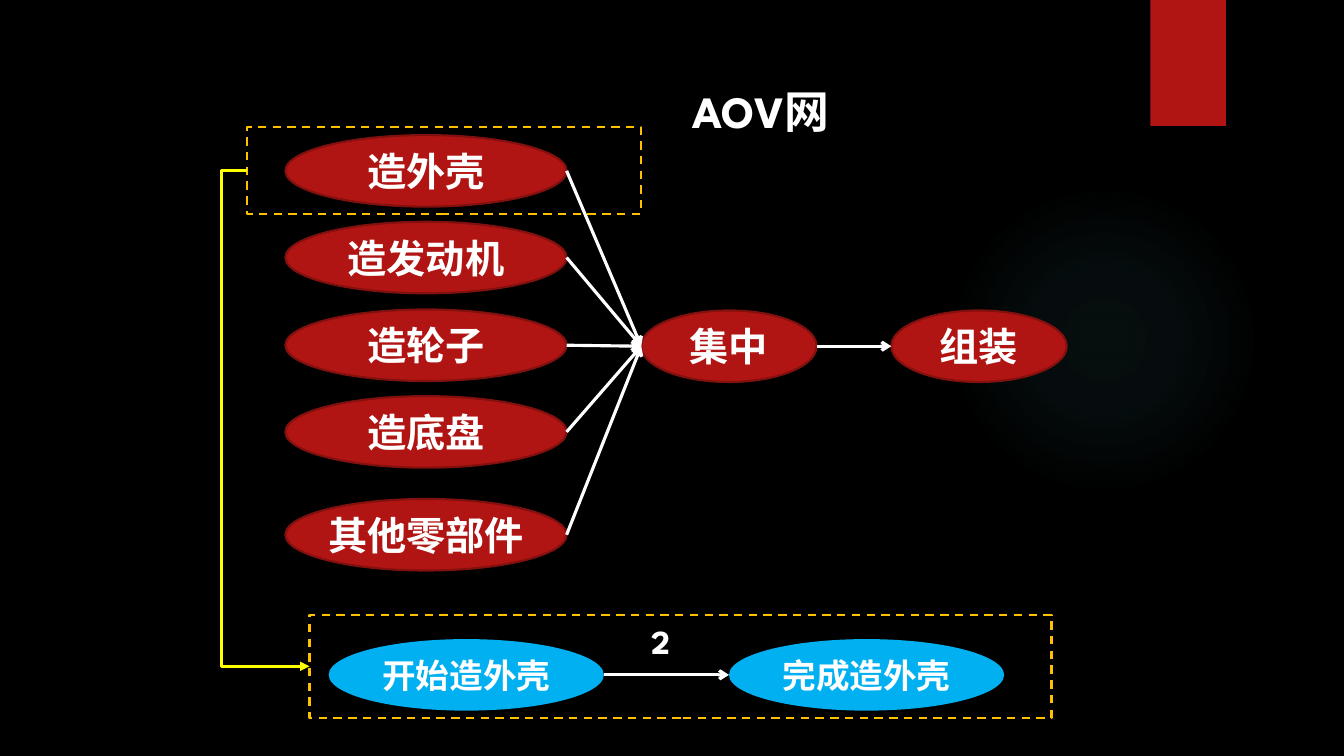
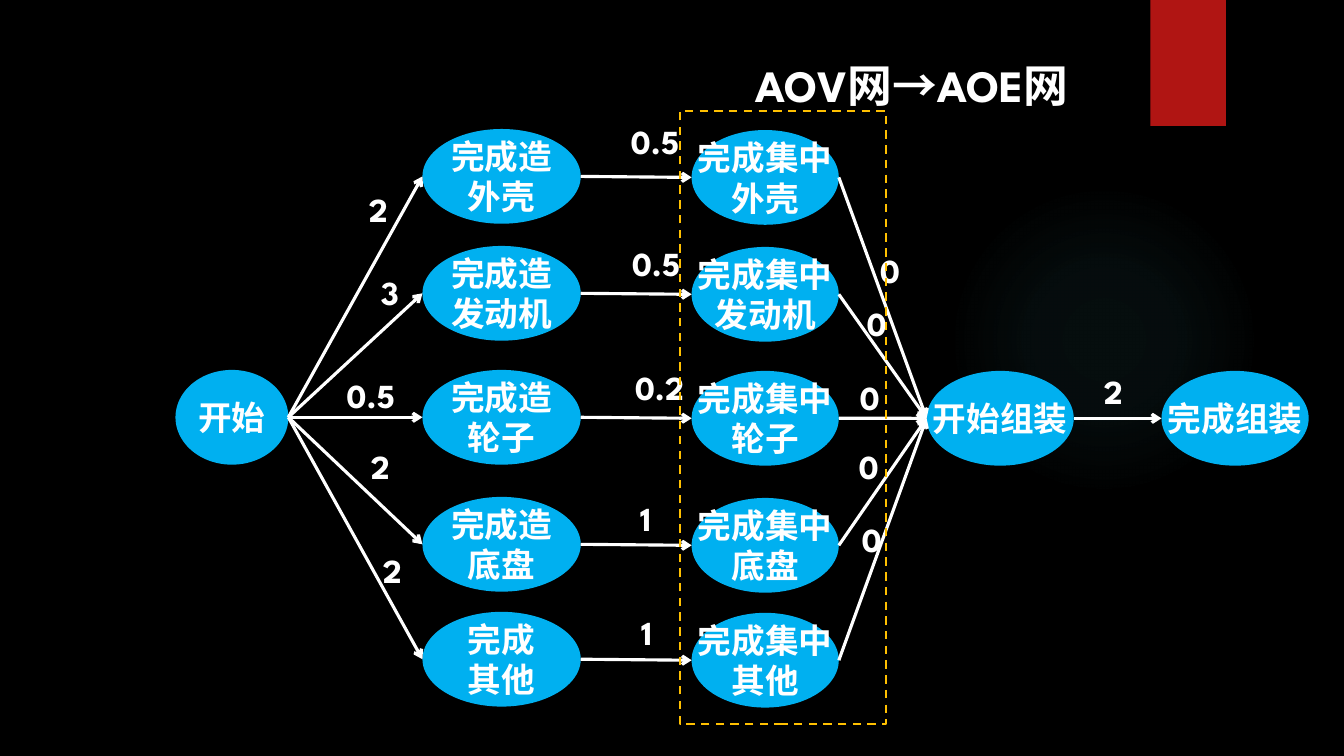
from lxml import etree
from pptx import Presentation
from pptx.dml.color import RGBColor
from pptx.enum.dml import MSO_LINE
from pptx.enum.lang import MSO_LANGUAGE_ID
from pptx.enum.shapes import MSO_CONNECTOR, MSO_SHAPE
from pptx.enum.text import MSO_ANCHOR, MSO_AUTO_SIZE, PP_ALIGN
from pptx.oxml import parse_xml
from pptx.oxml.ns import nsdecls, qn
from pptx.util import Inches, Pt

FONT = "League Spartan"
BLACK = RGBColor(0x00, 0x00, 0x00)
WHITE = RGBColor(0xFF, 0xFF, 0xFF)
RED = RGBColor(0xB0, 0x15, 0x13)
DARK_RED = RGBColor(0x82, 0x10, 0x0E)
BLUE = RGBColor(0x00, 0xB0, 0xF0)
GOLD = RGBColor(0xFF, 0xC0, 0x00)
YELLOW = RGBColor(0xFF, 0xFF, 0x00)
GLOW_COLOR = RGBColor(0x50, 0xB9, 0xC1)
GLOW_STOPS = ((0, 7), (36, 6), (69, 0))  # position and opacity, in percent


def add_run(paragraph, text, size):
    run = paragraph.add_run()
    run.text = text
    font = run.font
    font.name = FONT
    font.size = Pt(size)
    font.bold = True
    font.color.rgb = WHITE
    font.language_id = MSO_LANGUAGE_ID.SIMPLIFIED_CHINESE
    east_asian = etree.SubElement(run._r.get_or_add_rPr(), qn("a:ea"))
    east_asian.set("typeface", FONT)


def add_plain_shape(slide, kind, left, top, width, height, fill=None):
    """Add a shape without shadow or outline; no fill colour means see-through."""
    shape = slide.shapes.add_shape(
        kind, Inches(left), Inches(top), Inches(width), Inches(height))
    shape.shadow.inherit = False
    shape.line.fill.background()
    if fill is None:
        shape.fill.background()
    else:
        shape.fill.solid()
        shape.fill.fore_color.rgb = fill
    return shape


def add_glow(slide):
    glow = add_plain_shape(slide, MSO_SHAPE.OVAL, 9.41, 1.83, 3.08, 3.08)
    stops = "".join(
        f'<a:gs pos="{position * 1000}"><a:srgbClr val="{GLOW_COLOR}">'
        f'<a:alpha val="{opacity * 1000}"/></a:srgbClr></a:gs>'
        for position, opacity in GLOW_STOPS)
    gradient = parse_xml(
        f'<a:gradFill {nsdecls("a")}><a:gsLst>{stops}</a:gsLst>'
        '<a:path path="circle"><a:fillToRect l="50000" t="50000" r="50000" '
        'b="50000"/></a:path></a:gradFill>')
    properties = glow._element.spPr
    properties.replace(properties.find(qn("a:noFill")), gradient)


def add_text(slide, text, left, top, width, height, size):
    box = slide.shapes.add_textbox(
        Inches(left), Inches(top), Inches(width), Inches(height))
    frame = box.text_frame
    frame.word_wrap = True
    frame.auto_size = MSO_AUTO_SIZE.SHAPE_TO_FIT_TEXT
    add_run(frame.paragraphs[0], text, size)


def add_title(slide, text, left, top, width):
    add_text(slide, text, left, top, width, 0.64, 32)


def add_duration(slide, text, left, top):
    add_text(slide, text, left, top, 1.39, 0.5, 24)


def add_node(slide, lines, left, top, width, height, fill, size):
    node = add_plain_shape(slide, MSO_SHAPE.OVAL, left, top, width, height, fill)
    frame = node.text_frame
    frame.word_wrap = False
    frame.vertical_anchor = MSO_ANCHOR.MIDDLE
    frame.margin_left = frame.margin_right = 0
    frame.margin_top = frame.margin_bottom = 0
    for index, line in enumerate(lines):
        paragraph = frame.add_paragraph() if index else frame.paragraphs[0]
        paragraph.alignment = PP_ALIGN.CENTER
        add_run(paragraph, line, size)
    return node


def add_activity(slide, text, left, top, width):
    node = add_node(slide, [text], left, top, width, 0.71, RED, 28)
    node.line.color.rgb = DARK_RED
    node.line.width = Pt(1.5)
    return node


def add_event(slide, lines, left, top, width, height=0.94):
    return add_node(slide, lines, left, top, width, height, BLUE, 24)


def add_dashed_frame(slide, left, top, width, height):
    frame = add_plain_shape(slide, MSO_SHAPE.RECTANGLE, left, top, width, height)
    frame.line.color.rgb = GOLD
    frame.line.width = Pt(1.5)
    frame.line.dash_style = MSO_LINE.DASH
    return frame


def add_link(slide, kind, start, end, color, head):
    connector = slide.shapes.add_connector(kind, *start, *end)
    connector.line.color.rgb = color
    connector.line.width = Pt(2.25)
    etree.SubElement(connector.line._get_or_add_ln(), qn("a:tailEnd"), type=head)
    etree.SubElement(connector._element.spPr, qn("a:effectLst"))
    return connector


def left_middle(shape):
    return shape.left, shape.top + shape.height // 2


def right_middle(shape):
    return shape.left + shape.width, shape.top + shape.height // 2


def add_arrow(slide, source, target):
    add_link(slide, MSO_CONNECTOR.STRAIGHT, right_middle(source),
             left_middle(target), WHITE, "arrow")


def add_detail_link(slide, source, target):
    """Link the left sides of two frames, running outside them."""
    link = add_link(slide, MSO_CONNECTOR.ELBOW, left_middle(source),
                    left_middle(target), YELLOW, "triangle")
    bend = -Inches(0.25) / (target.left - source.left)
    guides = link._element.spPr.find(qn("a:prstGeom")).get_or_add_avLst()
    etree.SubElement(guides, qn("a:gd"), name="adj1",
                     fmla=f"val {round(bend * 100000)}")


def add_base_slide(presentation):
    slide = presentation.slides.add_slide(presentation.slide_layouts[6])
    add_glow(slide)
    add_plain_shape(slide, MSO_SHAPE.RECTANGLE, 11.41, 0, 0.75, 1.25, RED)
    return slide


def build_activity_network(presentation):
    slide = add_base_slide(presentation)
    collect = add_activity(slide, "集中", 6.36, 3.08, 1.74)
    assemble = add_activity(slide, "组装", 8.84, 3.08, 1.74)
    add_arrow(slide, collect, assemble)
    parts = (("造外壳", 1.34), ("造发动机", 2.2), ("造轮子", 3.07),
             ("造底盘", 3.93), ("其他零部件", 4.95))
    for text, top in parts:
        add_arrow(slide, add_activity(slide, text, 2.83, top, 2.79), collect)
    add_title(slide, "AOV网", 6.77, 0.78, 3.47)

    begin = add_event(slide, ["开始造外壳"], 3.26, 6.34, 2.73, 0.71)
    finish = add_event(slide, ["完成造外壳"], 7.23, 6.34, 2.73, 0.71)
    add_arrow(slide, begin, finish)
    add_duration(slide, "2", 6.36, 6.11)
    activity_frame = add_dashed_frame(slide, 2.45, 1.26, 3.91, 0.86)
    event_frame = add_dashed_frame(slide, 3.07, 6.1, 7.36, 1.02)
    add_detail_link(slide, activity_frame, event_frame)


def build_event_network(presentation):
    slide = add_base_slide(presentation)
    add_title(slide, "AOV网→AOE网", 7.4, 0.52, 4.3)
    start = add_event(slide, ["开始"], 1.74, 3.67, 1.12)
    assembly_start = add_event(slide, ["开始组装"], 9.19, 3.68, 1.46)
    assembly_end = add_event(slide, ["完成组装"], 11.52, 3.68, 1.46)
    add_arrow(slide, assembly_start, assembly_end)

    # Top of the row, wording, then (duration, left, top) of its three arrows
    rows = (
        (1.28, "完成造", "外壳",
         (("2", 3.56, 1.83), ("0.5", 6.16, 1.15), ("0", 8.63, 2.43))),
        (2.44, "完成造", "发动机",
         (("3", 3.68, 2.65), ("0.5", 6.17, 2.36), ("0", 8.5, 2.96))),
        (3.67, "完成造", "轮子",
         (("0.5", 3.34, 3.67), ("0.2", 6.2, 3.59), ("0", 8.43, 3.69))),
        (4.93, "完成造", "底盘",
         (("2", 3.58, 4.37), ("1", 6.25, 4.89), ("0", 8.42, 4.37))),
        (6.07, "完成", "其他",
         (("2", 3.7, 5.41), ("1", 6.26, 6.02), ("0", 8.45, 5.1))),
    )
    for top, verb, part, durations in rows:
        made = add_event(slide, [verb, part], 4.19, top, 1.57)
        collected = add_event(slide, ["完成集中", part], 6.86, top + 0.01, 1.46)
        add_arrow(slide, start, made)
        add_arrow(slide, made, collected)
        add_arrow(slide, collected, assembly_start)
        for duration in durations:
            add_duration(slide, *duration)
    add_duration(slide, "2", 10.85, 3.63)
    add_dashed_frame(slide, 6.74, 1.1, 2.05, 6.08)


def main():
    presentation = Presentation()
    presentation.slide_width = Inches(13.33)
    presentation.slide_height = Inches(7.5)
    background = presentation.slide_master.background.fill
    background.solid()
    background.fore_color.rgb = BLACK
    build_activity_network(presentation)
    build_event_network(presentation)
    presentation.save("out.pptx")


if __name__ == "__main__":
    main()
